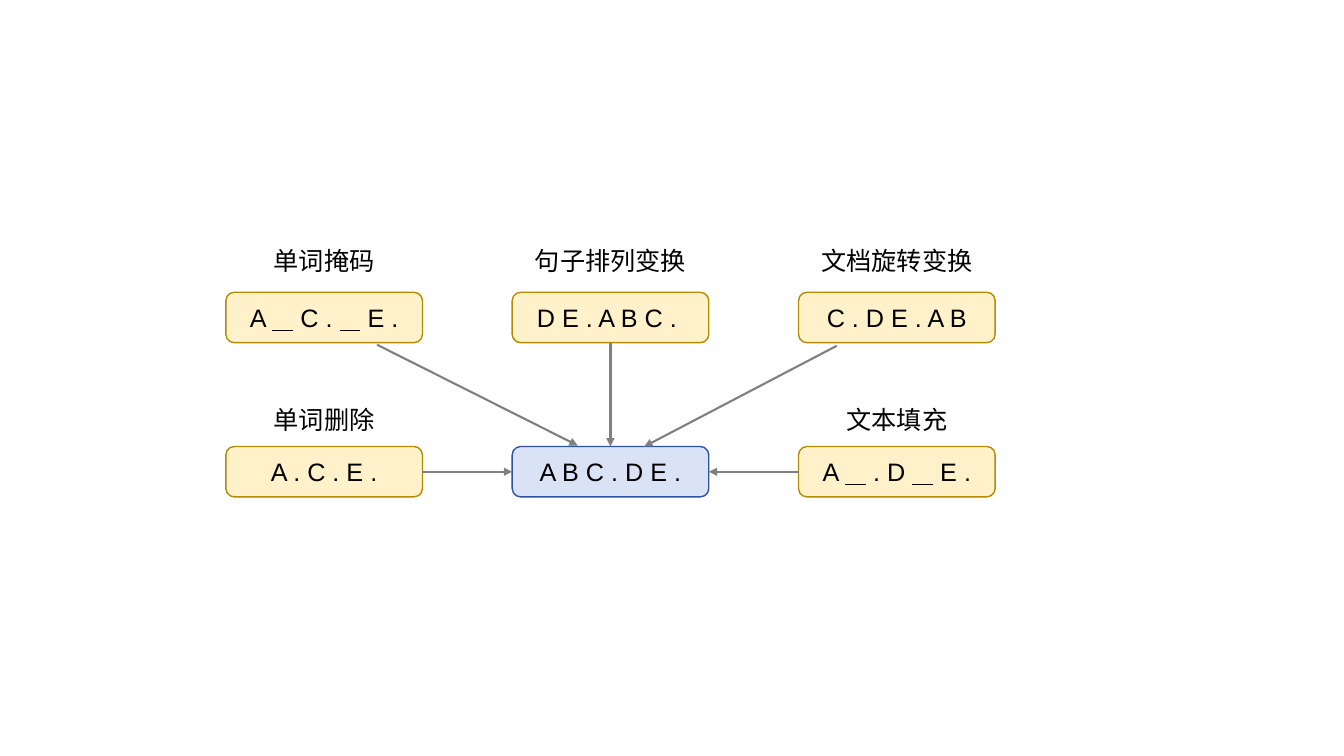
import pptx
import pptx.util
import pptx.dml.color
import pptx.enum.shapes
import pptx.enum.text
import pptx.oxml.ns
import lxml.etree

Inches = pptx.util.Inches
Pt = pptx.util.Pt
RGBColor = pptx.dml.color.RGBColor

BLACK = RGBColor(0x00, 0x00, 0x00)
GRAY = RGBColor(0x80, 0x80, 0x80)
YELLOW = RGBColor(0xFF, 0xF2, 0xCA)
GOLD = RGBColor(0xB5, 0x8B, 0x01)
PALE_BLUE = RGBColor(0xDA, 0xE3, 0xF5)
BLUE = RGBColor(0x2E, 0x54, 0xA1)

BOX_W, BOX_H = 1.95, 0.5
LEFT, MIDDLE, RIGHT = (2.24 + 2.84 * i for i in range(3))
TOP, BOTTOM = 2.9, 4.43
CENTER_Y = BOTTOM + BOX_H / 2
MASK = "   "

CORRUPTED = [
    (LEFT, TOP, "A _ C . _ E ."),
    (MIDDLE, TOP, "D E . A B C . "),
    (RIGHT, TOP, "C . D E . A B"),
    (LEFT, BOTTOM, "A . C . E ."),
    (RIGHT, BOTTOM, "A _ . D _ E ."),
]
LABELS = [
    (LEFT, 2.38, 1.37, "单词掩码"),
    (MIDDLE, 2.38, 1.76, "句子排列变换"),
    (RIGHT, 2.38, 1.76, "文档旋转变换"),
    (LEFT, 3.96, 1.37, "单词删除"),
    (RIGHT, 3.96, 1.37, "文本填充"),
]
ARROWS = [
    (3.74, 3.42, 5.73, 4.42),
    (LEFT + BOX_W, CENTER_Y, MIDDLE, CENTER_Y),
    (MIDDLE + BOX_W / 2, TOP + BOX_H, MIDDLE + BOX_W / 2, BOTTOM),
    (8.3, 3.43, 6.39, 4.43),
    (RIGHT, CENTER_Y, MIDDLE + BOX_W, CENTER_Y),
]


def write(tf, text):
    p = tf.paragraphs[0]
    p.alignment = pptx.enum.text.PP_ALIGN.CENTER
    p.font.size = Pt(18)
    p.font.name = "Arial"
    p.font.color.rgb = BLACK
    for i, part in enumerate(text.split("_")):
        if i:
            r = p.add_run()
            r.text = MASK
            r.font.underline = True
        p.add_run().text = part


def add_box(slide, x, y, text, fill=YELLOW, line=GOLD):
    sp = slide.shapes.add_shape(
        pptx.enum.shapes.MSO_SHAPE.ROUNDED_RECTANGLE,
        Inches(x), Inches(y), Inches(BOX_W), Inches(BOX_H))
    sp.shadow.inherit = False
    sp.fill.solid()
    sp.fill.fore_color.rgb = fill
    sp.line.color.rgb = line
    sp.line.width = Pt(1)
    sp.text_frame.vertical_anchor = pptx.enum.text.MSO_ANCHOR.MIDDLE
    write(sp.text_frame, text)


def add_label(slide, box_x, y, width, text):
    x = box_x + (BOX_W - width) / 2
    sp = slide.shapes.add_textbox(Inches(x), Inches(y), Inches(width), Inches(0.4))
    tf = sp.text_frame
    tf.word_wrap = True
    tf.auto_size = pptx.enum.text.MSO_AUTO_SIZE.SHAPE_TO_FIT_TEXT
    write(tf, text)


def add_arrow(slide, *ends):
    cxn = slide.shapes.add_connector(
        pptx.enum.shapes.MSO_CONNECTOR.STRAIGHT, *map(Inches, ends))
    cxn.line.color.rgb = GRAY
    cxn.line.width = Pt(1.5)
    qn = pptx.oxml.ns.qn
    sp_pr = cxn._element.spPr
    lxml.etree.SubElement(sp_pr.find(qn("a:ln")), qn("a:tailEnd"), type="triangle")
    lxml.etree.SubElement(sp_pr, qn("a:effectLst"))


def main():
    prs = pptx.Presentation()
    prs.slide_width = Inches(13.33)
    prs.slide_height = Inches(7.5)
    slide = prs.slides.add_slide(prs.slide_layouts[6])
    add_box(slide, MIDDLE, BOTTOM, "A B C . D E .", PALE_BLUE, BLUE)
    for box in CORRUPTED:
        add_box(slide, *box)
    for label in LABELS:
        add_label(slide, *label)
    for arrow in ARROWS:
        add_arrow(slide, *arrow)
    prs.save("out.pptx")


if __name__ == "__main__":
    main()
